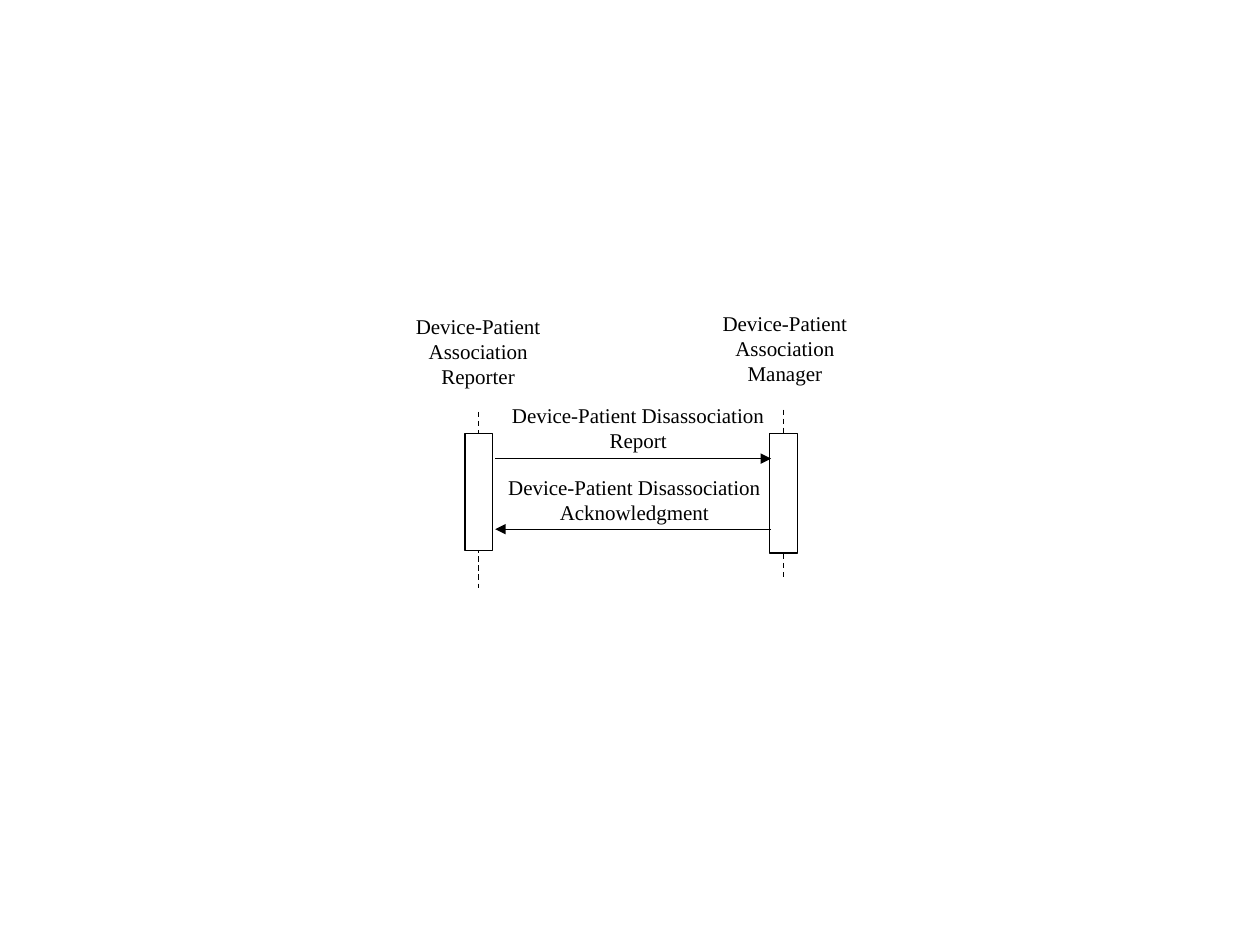
from lxml.etree import SubElement
from pptx import Presentation
from pptx.dml.color import RGBColor
from pptx.enum.dml import MSO_LINE
from pptx.enum.shapes import MSO_CONNECTOR, MSO_SHAPE
from pptx.enum.text import MSO_ANCHOR, PP_ALIGN
from pptx.oxml.ns import qn
from pptx.util import Inches, Pt

COLORS = {"ink": "000000", "paper": "FFFFFF"}
FONT = "Times New Roman"
BAR_TOP, BAR_WIDTH = 3.44, 0.22
LABEL_WIDTH, LABEL_HEIGHT = 2.11, 0.47
ARROW_LEFT, ARROW_RIGHT = 3.93, 6.12

# Lengths in inches; head is (left, top, width, height), lifeline is (top, bottom)
PARTICIPANTS = [
    {"title": "Device-Patient Association Reporter", "axis": 3.8,
     "head": (3.09, 2.37, 1.41, 0.83), "lifeline": (3.27, 4.67), "bar_height": 0.93},
    {"title": "Device-Patient Association Manager", "axis": 6.22,
     "head": (5.5, 2.36, 1.46, 0.81), "lifeline": (3.25, 4.59), "bar_height": 0.95},
]
# Wording, label corner, arrow height, start and end of the arrow
MESSAGES = [
    ("Device-Patient Disassociation Report", (4.01, 3.16), 3.64, ARROW_LEFT, ARROW_RIGHT),
    ("Device-Patient Disassociation Acknowledgment", (3.98, 3.73), 4.2, ARROW_RIGHT, ARROW_LEFT),
]


def color(name):
    return RGBColor.from_string(COLORS[name])


def write(shape, wording):
    frame = shape.text_frame
    frame.text = wording
    frame.word_wrap = True
    frame.vertical_anchor = MSO_ANCHOR.MIDDLE
    paragraph = frame.paragraphs[0]
    paragraph.alignment = PP_ALIGN.CENTER
    font = paragraph.runs[0].font
    font.name, font.size = FONT, Pt(12)
    font.color.rgb = color("ink")
    return frame


def add_box(slide, left, top, width, height, outlined):
    box = slide.shapes.add_shape(MSO_SHAPE.RECTANGLE, *map(Inches, (left, top, width, height)))
    box.shadow.inherit = False
    box.fill.solid()
    box.fill.fore_color.rgb = color("paper")
    if outlined:
        box.line.color.rgb = color("ink")
        box.line.width = Pt(0.75)
    else:
        box.line.fill.background()
    return box


def add_line(slide, x1, y1, x2, y2):
    connector = slide.shapes.add_connector(MSO_CONNECTOR.STRAIGHT, *map(Inches, (x1, y1, x2, y2)))
    connector.line.color.rgb = color("ink")
    connector.line.width = Pt(0.75)
    SubElement(connector._element.spPr, qn("a:effectLst"))
    return connector


def add_participant(slide, title, axis, head, lifeline, bar_height):
    write(add_box(slide, *head, outlined=False), title)
    top, bottom = lifeline
    add_line(slide, axis, top, axis, bottom).line.dash_style = MSO_LINE.DASH
    # The bar is centred on the lifeline
    add_box(slide, axis - BAR_WIDTH / 2, BAR_TOP, BAR_WIDTH, bar_height, outlined=True)


def add_message(slide, wording, corner, height, start, end):
    label = slide.shapes.add_textbox(*map(Inches, (*corner, LABEL_WIDTH, LABEL_HEIGHT)))
    frame = write(label, wording)
    frame.margin_left = frame.margin_right = frame.margin_top = frame.margin_bottom = 0
    frame.paragraphs[0].space_before = Pt(6)
    arrow = add_line(slide, start, height, end, height)
    SubElement(arrow.line._get_or_add_ln(), qn("a:tailEnd"), type="triangle")


def main():
    deck = Presentation()
    deck.slide_width, deck.slide_height = Inches(10), Inches(7.5)
    slide = deck.slides.add_slide(deck.slide_layouts[6])
    for participant in PARTICIPANTS:
        add_participant(slide, **participant)
    for message in MESSAGES:
        add_message(slide, *message)
    deck.save("out.pptx")


if __name__ == "__main__":
    main()
